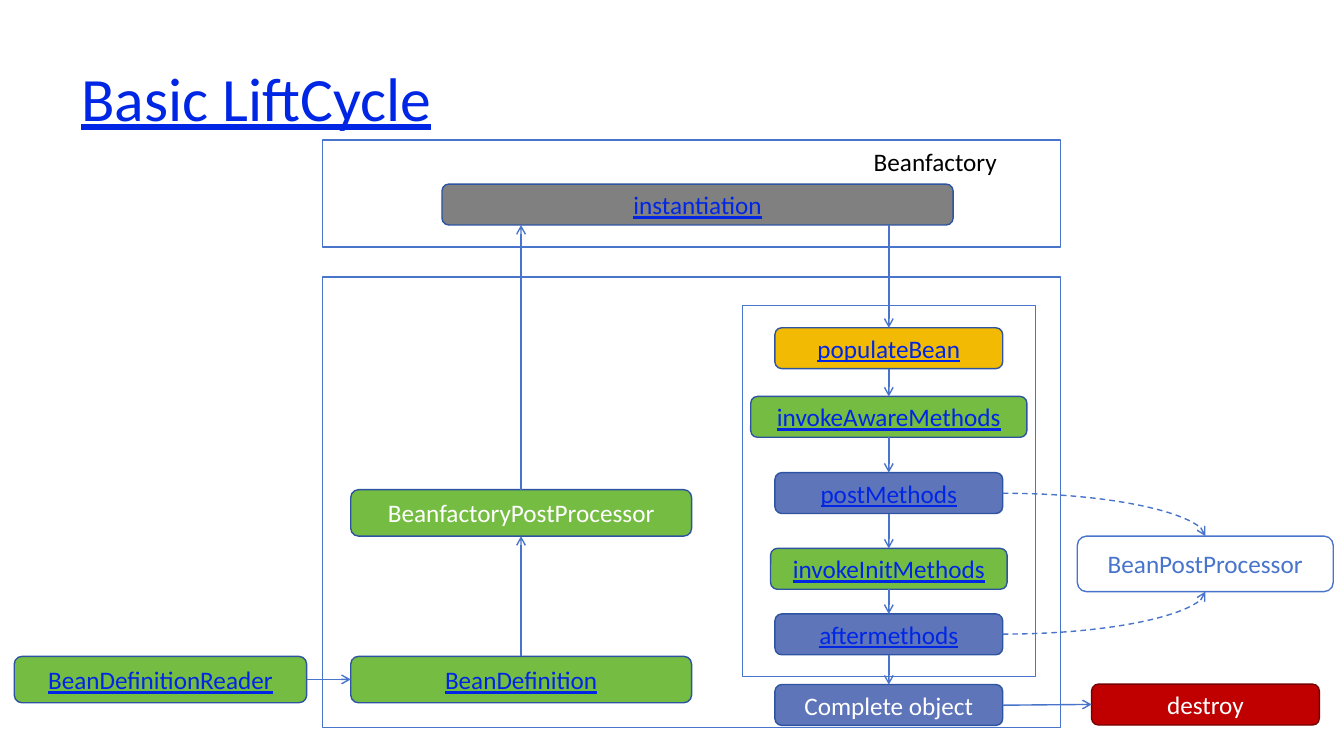
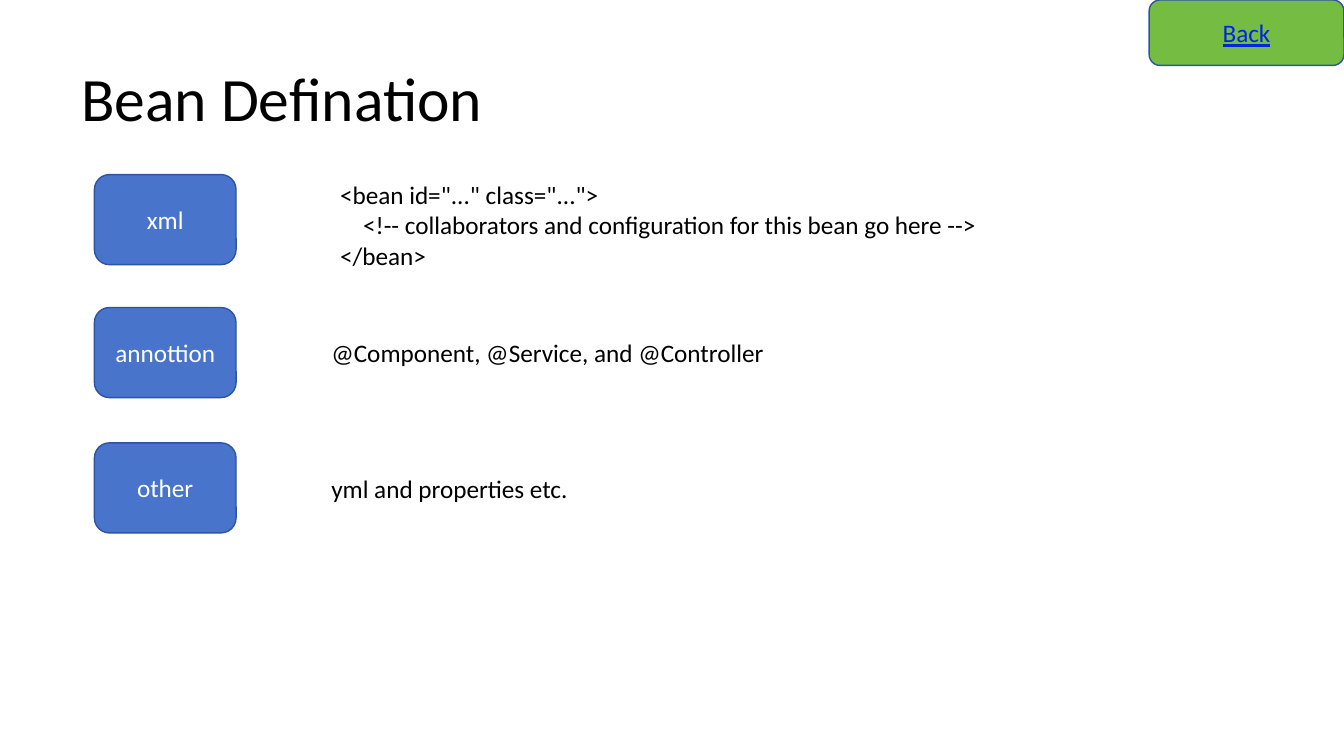
from lxml import etree
from pptx import Presentation
from pptx.dml.color import RGBColor
from pptx.enum.dml import MSO_LINE
from pptx.enum.shapes import MSO_CONNECTOR, MSO_SHAPE
from pptx.enum.text import MSO_ANCHOR, PP_ALIGN
from pptx.oxml.ns import qn
from pptx.util import Cm, Pt

RECT, ROUND = MSO_SHAPE.RECTANGLE, MSO_SHAPE.ROUNDED_RECTANGLE
LINE, CURVE = MSO_CONNECTOR.STRAIGHT, MSO_CONNECTOR.CURVE
DASH = MSO_LINE.DASH
TOP, MIDDLE = MSO_ANCHOR.TOP, MSO_ANCHOR.MIDDLE
LEFT, CENTER = PP_ALIGN.LEFT, PP_ALIGN.CENTER

FONT = "Calibri"
HUES = {
    "blue": "4874CB", "edge": "2E54A1", "link": "0026E5", "green": "75BD42",
    "gray": "808080", "gold": "F2BA02", "slate": "5E75BA", "red": "C00000",
    "maroon": "760303", "white": "FFFFFF", "black": "000000",
}
RGB = {name: RGBColor.from_string(code) for name, code in HUES.items()}
TITLE = (1.8, 0.71, 29.21, 3.68)


def put(slide, box, text="", ink="black", fill=None, edge=None, form=ROUND, size=18, anchor=MIDDLE):
    place = [Cm(n) for n in box]
    if edge:
        shape = slide.shapes.add_shape(form, *place)
        shape.shadow.inherit = False
        shape.line.color.rgb = RGB[edge]
        shape.line.width = Pt(1)
        if fill:
            shape.fill.solid()
            shape.fill.fore_color.rgb = RGB[fill]
        else:
            shape.fill.background()
    else:
        shape = slide.shapes.add_textbox(*place)
    frame = shape.text_frame
    frame.word_wrap = True
    frame.vertical_anchor = anchor
    for i, words in enumerate(text.split("\n") if text else []):
        para = frame.add_paragraph() if i else frame.paragraphs[0]
        para.alignment = CENTER if edge else LEFT
        run = para.add_run()
        run.text = words
        run.font.name = FONT
        run.font.size = Pt(size)
        run.font.color.rgb = RGB[ink]
        if ink == "link":
            run.font.underline = True
    return shape


def join(slide, x1, y1, x2, y2, curve=False):
    wire = slide.shapes.add_connector(CURVE if curve else LINE, Cm(x1), Cm(y1), Cm(x2), Cm(y2))
    wire.line.color.rgb = RGB["blue"]
    wire.line.width = Pt(1)
    props = wire.element.spPr
    if curve:
        wire.line.dash_style = DASH
        props.find(qn("a:prstGeom")).set("prst", "curvedConnector2")
    etree.SubElement(props.find(qn("a:ln")), qn("a:tailEnd"), type="arrow")
    etree.SubElement(props, qn("a:effectLst"))


deck = Presentation()
deck.slide_width, deck.slide_height = Cm(33.87), Cm(19.05)
blank = deck.slide_layouts[6]
cycle, beans = [deck.slides.add_slide(blank) for _ in range(2)]

for slide, text, ink in [(cycle, "Basic LiftCycle", "link"), (beans, "Bean Defination", "black")]:
    head = put(slide, TITLE, text, ink, size=44)
    head.text_frame.paragraphs[0].line_spacing = 0.9

for box in [(8.13, 6.98, 18.59, 11.35), (8.13, 3.53, 18.59, 2.7), (18.72, 7.7, 7.37, 9.35)]:
    put(cycle, box, edge="blue", form=RECT)
put(cycle, (21.77, 3.56, 4.98, 1.02), "Beanfactory", anchor=TOP)

LOW, HIGH, TALL = 16.54, 12.34, 1.17
for box, text, ink, fill, edge in [
    ((0.36, LOW, 7.37, TALL), "BeanDefinitionReader", "link", "green", "edge"),
    ((8.84, LOW, 8.59, TALL), "BeanDefinition", "link", "green", "edge"),
    ((8.84, HIGH, 8.59, TALL), "BeanfactoryPostProcessor", "white", "green", "edge"),
    ((11.14, 4.64, 12.88, 1.03), "instantiation", "link", "gray", "edge"),
    ((27.15, 13.51, 6.45, 1.4), "BeanPostProcessor", "blue", None, "blue"),
    ((27.51, 17.24, 5.74, 1.03), "destroy", "white", "red", "maroon"),
]:
    put(cycle, box, text, ink, fill, edge)

MID, STEP = 22.4, 1.03
last = 5.67
for text, top, wide, ink, fill in [
    ("populateBean", 8.26, 5.74, "link", "gold"),
    ("invokeAwareMethods", 9.99, 6.96, "link", "green"),
    ("postMethods", 11.91, 5.74, "link", "slate"),
    ("invokeInitMethods", 13.82, 5.96, "link", "green"),
    ("aftermethods", 15.47, 5.74, "link", "slate"),
    ("Complete object", 17.25, 5.74, "white", "slate"),
]:
    put(cycle, (MID - wide / 2, top, wide, STEP), text, ink, fill, "edge")
    join(cycle, MID, last, MID, top)
    last = top + STEP

SIDE = 25.27
for ends in [
    (7.73, 17.12, 8.84, 17.12),
    (13.13, LOW, 13.13, HIGH + TALL),
    (13.13, HIGH, 13.13, 5.67),
    (SIDE, 17.77, 27.51, 17.75),
]:
    join(cycle, *ends)
join(cycle, SIDE, 12.43, 30.38, 13.51, curve=True)
join(cycle, SIDE, 15.98, 30.38, 14.91, curve=True)

for text, top in [("xml", 4.4), ("annottion", 7.75), ("other", 11.16)]:
    put(beans, (2.38, top, 3.57, 2.27), text, "white", "blue", "edge")

code = put(beans, (7.75, 4.4, 23.45, 2.56), """<bean id="..." class="...">
<!-- collaborators and configuration for this bean go here -->
</bean>""", anchor=TOP)
for para, dent in zip(code.text_frame.paragraphs, (0.57, 1.15, 0.57)):
    props = para._p.get_or_add_pPr()
    props.set("marL", str(Cm(dent)))
    props.set("indent", "0")

for text, top in [("@Component, @Service, and @Controller", 8.37), ("yml and properties etc.", 11.79)]:
    put(beans, (8.1, top, 23.45, 1.03), text, anchor=TOP)
put(beans, (28.96, 0, 4.91, 1.65), "Back", "link", "green", "edge")

deck.save("out.pptx")
